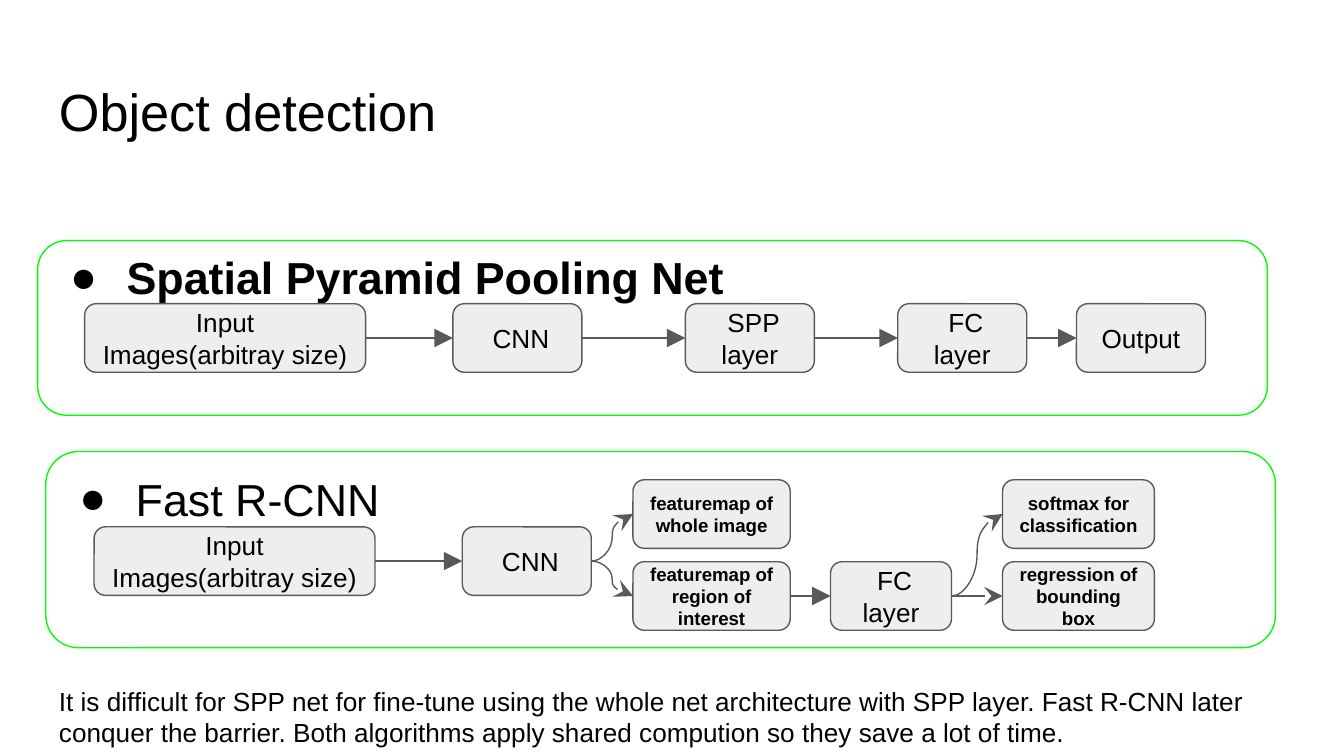
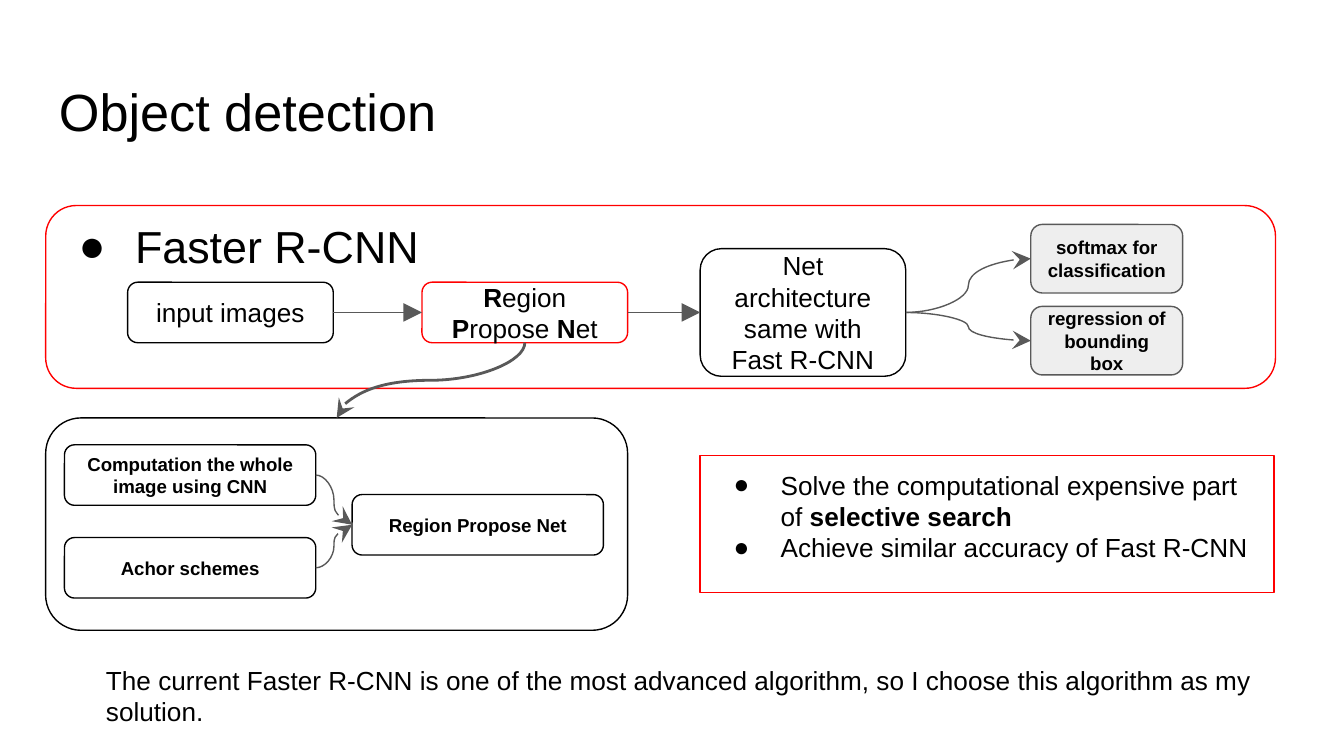
import pptx
import pptx.util
import pptx.dml.color
import pptx.enum.shapes
import pptx.enum.text
import pptx.oxml
import pptx.oxml.ns

Inches, Pt = pptx.util.Inches, pptx.util.Pt
RGBColor = pptx.dml.color.RGBColor
SHAPE = pptx.enum.shapes.MSO_SHAPE
CONNECTOR = pptx.enum.shapes.MSO_CONNECTOR
ALIGN = pptx.enum.text.PP_ALIGN
ANCHOR = pptx.enum.text.MSO_ANCHOR
qn = pptx.oxml.ns.qn

BLACK = RGBColor(0x00, 0x00, 0x00)
DARK = RGBColor(0x59, 0x59, 0x59)
LIGHT = RGBColor(0xEE, 0xEE, 0xEE)
GREEN = RGBColor(0x00, 0xFF, 0x00)
RED = RGBColor(0xFF, 0x00, 0x00)
FONT = "Arial"
TITLE_AT = (0.34, 0.49, 9.32, 0.63)
LEFT, RIGHT = 1, 3  # connection sites

# Box looks
STEP = {"fill": LIGHT, "line": DARK, "size": 14}
DETAIL = {"fill": LIGHT, "line": DARK, "size": 10, "bold": True}
STAGE = {"line": BLACK, "size": 14}
FOCUS = {"line": RED, "size": 14}
PART = {"line": BLACK, "size": 10, "bold": True}

# Content: panels are (place, heading, bold, line colour);
# boxes are name: (place, text, look); links are (from, to)
INPUT = "Input\nImages(arbitray size)"
SOFTMAX = "softmax for classification"
REGRESSION = "regression of bounding box"

SLIDES = [
    {
        "title": "Object detection",
        "panels": [
            ((0.28, 1.79, 9.15, 1.3), "Spatial Pyramid Pooling Net", True, GREEN),
            ((0.34, 3.36, 9.15, 1.46), "Fast R-CNN", False, GREEN),
        ],
        "boxes": {
            "spp input": ((0.63, 2.26, 2.09, 0.51), INPUT, STEP),
            "spp cnn": ((3.37, 2.26, 0.96, 0.51), " CNN", STEP),
            "spp layer": ((5.1, 2.26, 0.96, 0.51), " SPP layer", STEP),
            "spp fc": ((6.68, 2.26, 0.96, 0.51), " FC layer", STEP),
            "spp output": ((8.01, 2.26, 0.96, 0.51), "Output", STEP),
            "fast input": ((0.7, 3.92, 2.09, 0.51), INPUT, STEP),
            "fast cnn": ((3.44, 3.92, 0.96, 0.51), " CNN", STEP),
            "whole map": ((4.71, 3.57, 1.17, 0.51), "featuremap of whole image", DETAIL),
            "region map": ((4.71, 4.18, 1.17, 0.51), "featuremap of region of interest", DETAIL),
            "fast fc": ((6.18, 4.18, 0.9, 0.51), " FC layer", STEP),
            "softmax": ((7.46, 3.57, 1.13, 0.51), SOFTMAX, DETAIL),
            "regression": ((7.46, 4.18, 1.13, 0.51), REGRESSION, DETAIL),
        },
        "straight": [
            ("spp input", "spp cnn"), ("spp cnn", "spp layer"),
            ("spp layer", "spp fc"), ("spp fc", "spp output"),
            ("fast input", "fast cnn"), ("region map", "fast fc"),
        ],
        "curved": [
            ("fast cnn", "whole map"), ("fast cnn", "region map"),
            ("fast fc", "softmax"), ("fast fc", "regression"),
        ],
        "note": ((0.34, 5, 9.05, 0.63),
                 "It is difficult for SPP net for fine-tune using the whole net "
                 "architecture with SPP layer. Fast R-CNN later conquer the barrier. "
                 "Both algorithms apply shared compution so they save a lot of time."),
    },
    {
        "title": "Object detection",
        "panels": [((0.34, 1.53, 9.15, 1.36), "Faster R-CNN", False, RED)],
        "boxes": {
            "input": ((0.95, 2.1, 1.53, 0.45), "input images", STAGE),
            "rpn": ((3.14, 2.1, 1.53, 0.45),
                    [("R", True), ("egion ", False), ("P", True),
                     ("ropose ", False), ("N", True), ("et", False)], FOCUS),
            "net": ((5.21, 1.85, 1.53, 0.95), "Net architecture same with Fast R-CNN", STAGE),
            "softmax": ((7.67, 1.67, 1.13, 0.51), SOFTMAX, DETAIL),
            "regression": ((7.67, 2.28, 1.13, 0.51), REGRESSION, DETAIL),
            "rpn detail": ((0.34, 3.11, 4.33, 1.58), "", PART),
            "computation": ((0.48, 3.31, 1.87, 0.45), "Computation the whole image using CNN", PART),
            "schemes": ((0.48, 4, 1.87, 0.45), "Achor schemes", PART),
            "proposal": ((2.62, 3.68, 1.87, 0.45), "Region Propose Net", PART),
        },
        "straight": [("input", "rpn"), ("rpn", "net")],
        "curved": [
            ("net", "softmax"), ("net", "regression"),
            ("computation", "proposal"), ("schemes", "proposal"),
        ],
        "drop": ("rpn", "rpn detail"),
        "gains": ((5.21, 3.39, 4.27, 1.02), [
            [("Solve the computational expensive part of ", False), ("selective search", True)],
            "Achieve similar accuracy of Fast R-CNN",
        ]),
        "note": ((0.69, 4.84, 8.8, 0.67),
                 "The current Faster R-CNN is one of the most advanced algorithm, "
                 "so I choose this algorithm as my solution."),
    },
]


def write(shape, paragraphs, size, bold=False, align=ALIGN.LEFT,
          anchor=ANCHOR.TOP, hang=None, top=0.1):
    """Fill a shape with paragraphs; hang is the bullet's hanging indent."""
    tf = shape.text_frame
    frame = {"word_wrap": True, "vertical_anchor": anchor, "margin_top": Inches(top)}
    frame.update({f"margin_{side}": Inches(0.1) for side in ("left", "right", "bottom")})
    for name, value in frame.items():
        setattr(tf, name, value)
    for i, runs in enumerate(paragraphs):
        p = tf.add_paragraph() if i else tf.paragraphs[0]
        p.alignment = align
        if hang:
            add_bullet(p, hang)
        for text, heavy in [(runs, bold)] if isinstance(runs, str) else runs:
            for n, line in enumerate(text.split("\n")):
                if n:
                    p.add_line_break()
                r = p.add_run()
                r.text = line
                for name, value in {"name": FONT, "size": Pt(size), "bold": heavy}.items():
                    setattr(r.font, name, value)
                r.font.color.rgb = BLACK


def add_bullet(p, hang):
    props = p._p.get_or_add_pPr()
    props.set("marL", str(Inches(0.5)))
    props.set("indent", str(-Inches(hang)))
    color = props.makeelement(qn("a:buClr"), {})
    color.append(color.makeelement(qn("a:srgbClr"), {"val": str(BLACK)}))
    props.append(color)
    props.append(props.makeelement(qn("a:buFont"), {"typeface": FONT}))
    props.append(props.makeelement(qn("a:buChar"), {"char": "●"}))


def add_text(s, at, text, size):
    write(s.shapes.add_textbox(*map(Inches, at)), [text], size)


def add_outline(s, at, line, fill=None, kind=SHAPE.ROUNDED_RECTANGLE):
    sp = s.shapes.add_shape(kind, *map(Inches, at))
    sp.shadow.inherit = False
    if fill is None:
        sp.fill.background()
    else:
        sp.fill.solid()
        sp.fill.fore_color.rgb = fill
    sp.line.color.rgb = line
    sp.line.width = Pt(0.75)
    return sp


def add_panel(s, at, heading, bold, line):
    # The heading sits one text line above the middle of the panel
    top = at[3] / 2 - 0.58 - 0.05 * at[3]
    write(add_outline(s, at, line), [heading], 24, bold, hang=0.42, top=max(top, 0))


def add_box(s, at, text, look):
    sp = add_outline(s, at, look["line"], look.get("fill"))
    if text:
        write(sp, [text], look["size"], look.get("bold", False),
              ALIGN.CENTER, ANCHOR.MIDDLE)
    return sp


def style_arrow(c, head, width=0.75):
    c.line.color.rgb = DARK
    c.line.width = Pt(width)
    c.line._get_or_add_ln().append(c._element.makeelement(
        qn("a:tailEnd"), {"type": head, "w": "lg", "len": "lg"}))
    c._element.spPr.append(c._element.makeelement(qn("a:effectLst"), {}))


def link(s, start, end, kind, head):
    c = s.shapes.add_connector(kind, 0, 0, 0, 0)
    c.begin_connect(start, RIGHT)
    c.end_connect(end, LEFT)
    style_arrow(c, head)


def drop_link(s, start, end):
    """Curve from the bottom of start to the top of end, left of it."""
    x1, y1 = start.left + start.width // 2, start.top + start.height
    x2, y2 = end.left + end.width // 2, end.top
    w, h = y2 - y1, x1 - x2  # sides before the quarter turn
    x, y = (x1 + x2 - w) // 2, (y1 + y2 - h) // 2
    c = s.shapes.add_connector(CONNECTOR.CURVE, x, y, x + w, y + h)
    c._element.spPr.find(qn("a:xfrm")).set("rot", str(90 * 60000))
    style_arrow(c, "stealth", 1.5)


def build_slide(prs, content):
    s = prs.slides.add_slide(prs.slide_layouts[6])
    add_text(s, TITLE_AT, content["title"], 28)
    for panel in content["panels"]:
        add_panel(s, *panel)
    boxes = {name: add_box(s, *box) for name, box in content["boxes"].items()}

    # Arrows
    for start, end in content["straight"]:
        link(s, boxes[start], boxes[end], CONNECTOR.STRAIGHT, "triangle")
    for start, end in content["curved"]:
        link(s, boxes[start], boxes[end], CONNECTOR.CURVE, "stealth")
    if "drop" in content:
        drop_link(s, *(boxes[name] for name in content["drop"]))

    # Bulleted gains and closing note
    if "gains" in content:
        at, points = content["gains"]
        write(add_outline(s, at, RED, kind=SHAPE.RECTANGLE), points, 14, hang=0.35)
    add_text(s, *content["note"], 14)


def main():
    prs = pptx.Presentation()
    # Widescreen, 16 to 9
    prs.slide_width = Inches(10)
    prs.slide_height = Inches(10 * 9 / 16)
    for content in SLIDES:
        build_slide(prs, content)
    prs.save("out.pptx")


if __name__ == "__main__":
    main()
